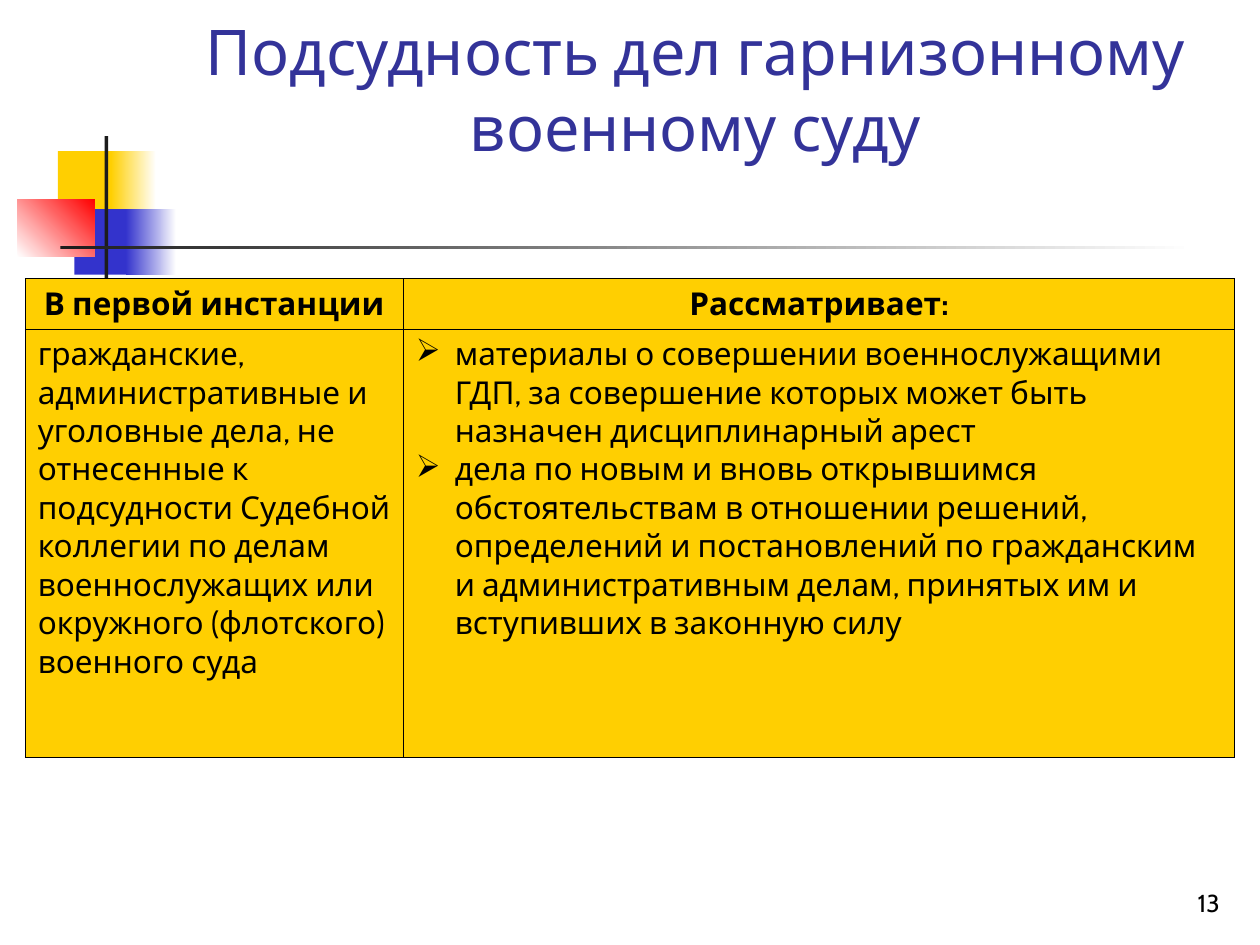
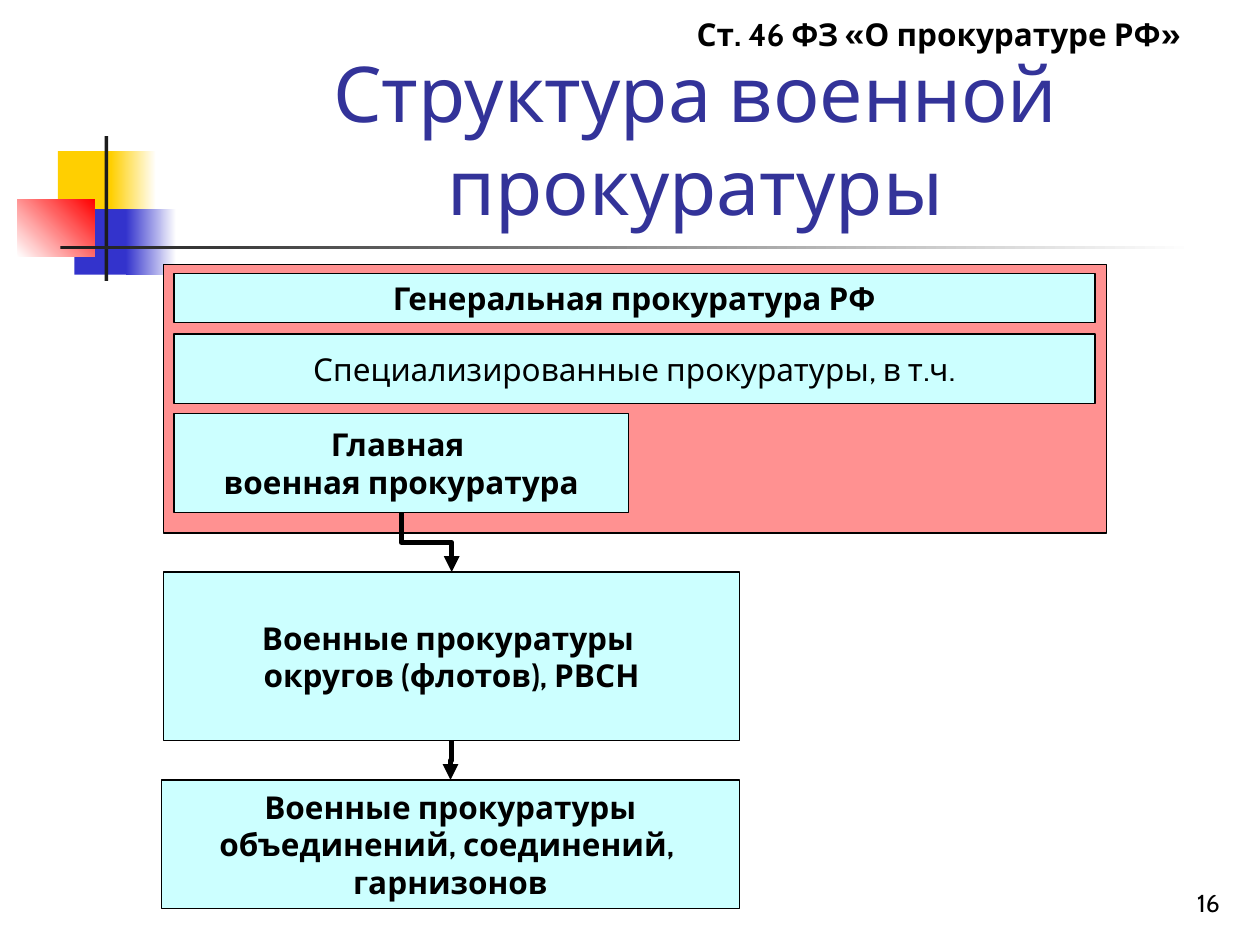
from lxml.etree import SubElement
from pptx import Presentation
from pptx.dml.color import RGBColor
from pptx.enum.shapes import MSO_CONNECTOR, MSO_SHAPE
from pptx.enum.text import MSO_ANCHOR, PP_ALIGN
from pptx.oxml import parse_xml
from pptx.oxml.ns import nsdecls, qn
from pptx.util import Inches, Pt

GOLD, BLUE, RED, DARK = "FFCF01", "3333CC", "FF0000", "1C1C1C"
WHITE, BLACK, INK = "FFFFFF", "000000", "333399"
PINK, AQUA = "FF9191", "CCFFFF"
LEFT, MID, RIGHT = PP_ALIGN.LEFT, PP_ALIGN.CENTER, PP_ALIGN.RIGHT

# Left, top, width, height, colours from start to end, angle
DECOR = [
    (0.46, 1.2, 0.48, 0.52, [GOLD], 0),
    (0.88, 1.2, 0.36, 0.52, [GOLD, WHITE], 0),
    (0.59, 1.66, 0.46, 0.52, [BLUE], 0),
    (1, 1.66, 0.4, 0.52, [BLUE, WHITE], 0),
    (0.14, 1.58, 0.61, 0.46, [WHITE, RED], 45),
    (0.83, 1.08, 0.03, 1.15, [DARK], 0),
    (0.48, 1.95, 9, 0.03, [DARK, WHITE], 0),
]
# Title, its size and height, slide number
HEADS = [
    ("Подсудность дел гарнизонному военному суду", 36, 1.07, "13"),
    ("Структура военной прокуратуры", 44, 1.6, "16"),
]


def tint(code):
    return RGBColor.from_string(code)


def write(frame, lines, align=LEFT, color=BLACK, mark=None, **style):
    look = {"name": "Cabin", "size": Pt(18), "bold": False} | style
    for num, line in enumerate(lines):
        para = frame.add_paragraph() if num else frame.paragraphs[0]
        para.alignment = align
        if mark:
            props = para._p.get_or_add_pPr()
            props.set("marL", str(Inches(0.31)))
            props.set("indent", str(-Inches(0.31)))
            SubElement(props, qn("a:buChar")).set("char", mark)
        run = para.add_run()
        run.text = line
        run.font.color.rgb = tint(color)
        for key, value in look.items():
            setattr(run.font, key, value)


deck = Presentation()
deck.slide_width, deck.slide_height = Inches(10), Inches(7.5)

# Shared design, title and number
slides = []
for title, size, high, page in HEADS:
    slide = deck.slides.add_slide(deck.slide_layouts[6])
    slides.append(slide)
    for *spot, tones, angle in DECOR:
        part = slide.shapes.add_shape(MSO_SHAPE.RECTANGLE, *map(Inches, spot))
        part.shadow.inherit = False
        part.line.fill.background()
        if len(tones) == 1:
            part.fill.solid()
            part.fill.fore_color.rgb = tint(tones[0])
        else:
            part.fill.gradient()
            part.fill.gradient_angle = angle
            for stop, tone in zip(part.fill.gradient_stops, tones):
                stop.color.rgb = tint(tone)

    foot = slide.shapes.add_textbox(*map(Inches, (7.7, 6.83, 2.08, 0.5))).text_frame
    head = slide.shapes.add_textbox(*map(Inches, (1.26, 0.23, 8.52, high))).text_frame
    for frame in (foot, head):
        frame.word_wrap = True
        frame.vertical_anchor = MSO_ANCHOR.BOTTOM
    for side in ("left", "top", "right", "bottom"):
        setattr(head, f"margin_{side}", 0)
    write(foot, [page], RIGHT, size=Pt(14))
    write(head, [title], MID, INK, size=Pt(size))

court, office = slides

# Table of court cases
ROWS = [
    [["В первой инстанции"], ["Рассматривает:"]],
    [
        ["гражданские, административные и уголовные дела, не отнесенные к "
         "подсудности Судебной коллегии по делам военнослужащих или "
         "окружного (флотского) военного суда"],
        ["материалы о совершении военнослужащими ГДП, за совершение которых "
         "может быть назначен дисциплинарный арест",
         "дела по новым и вновь открывшимся обстоятельствам в отношении "
         "решений, определений и постановлений по гражданским и "
         "административным делам, принятых им и вступивших в законную силу"],
    ],
]
grid = court.shapes.add_table(2, 2, *map(Inches, (0.2, 2.21, 9.6, 3.8))).table
grid.first_row = grid.horz_banding = False
for col, wide in zip(grid.columns, (3, 6.6)):
    col.width = Inches(wide)
for row, high in zip(grid.rows, (0.4, 3.4)):
    row.height = Inches(high)
for r, row in enumerate(ROWS):
    for c, lines in enumerate(row):
        cell = grid.cell(r, c)
        for edge in ("lnL", "lnR", "lnT", "lnB"):
            cell._tc.get_or_add_tcPr().append(parse_xml(
                f'<a:{edge} {nsdecls("a")} w="{Pt(0.45)}"><a:solidFill>'
                f'<a:srgbClr val="{BLACK}"/></a:solidFill></a:{edge}>'))
        cell.fill.solid()
        cell.fill.fore_color.rgb = tint(GOLD)
        write(cell.text_frame, lines, LEFT if r else MID,
              mark="➢" if r and c else None, bold=r == 0)

# Boxes of the office chart: place, fill, lines, bold, in the group
BOXES = [
    (1.3, 2.1, 7.48, 2.13, PINK, [], False, True),
    (1.38, 2.17, 7.31, 0.39, AQUA, ["Генеральная прокуратура РФ"], True, True),
    (1.38, 2.65, 7.31, 0.55, AQUA,
     ["Специализированные прокуратуры, в т.ч."], False, True),
    (1.38, 3.28, 3.61, 0.79, AQUA, ["Главная ", "военная прокуратура"], True, True),
    (1.3, 4.54, 4.57, 1.34, AQUA,
     ["Военные прокуратуры ", "округов (флотов), РВСН"], True, False),
    (1.28, 6.19, 4.59, 1.02, AQUA,
     ["Военные прокуратуры", "объединений, соединений, ", "гарнизонов"], True, False),
]
group = office.shapes.add_group_shape()
chain = []
for *spot, tone, lines, bold, inner in BOXES:
    home = group.shapes if inner else office.shapes
    box = home.add_shape(MSO_SHAPE.RECTANGLE, *map(Inches, spot))
    box.shadow.inherit = False
    box.fill.solid()
    box.fill.fore_color.rgb = tint(tone)
    box.line.color.rgb = tint(BLACK)
    box.line.width = Pt(0.75)
    box.text_frame.word_wrap = False
    box.text_frame.vertical_anchor = MSO_ANCHOR.MIDDLE
    write(box.text_frame, lines, MID, bold=bold)
    chain.append(box)

# Bent arrows down the last three boxes
chain = chain[-3:]
for top, low in zip(chain, chain[1:]):
    x1, y1 = top.left + top.width // 2, top.top + top.height
    x2, y2 = low.left + low.width // 2, low.top
    link = office.shapes.add_connector(MSO_CONNECTOR.ELBOW, x1, y1, x2, y2)
    link.begin_connect(top, 2)
    link.end_connect(low, 0)
    # A turned frame makes the arrow leave and arrive vertically
    wide, high = y2 - y1, abs(x2 - x1)
    turn = link._element.spPr.get_or_add_xfrm()
    turn.set("flipH", "1" if x2 > x1 else "0")
    turn.set("rot", "16200000" if x2 > x1 else "5400000")
    link.left, link.top = (x1 + x2 - wide) // 2, (y1 + y2 - high) // 2
    link.width, link.height = wide, high
    link.line.color.rgb = tint(BLACK)
    link.line.width = Pt(3)
    SubElement(link.line._get_or_add_ln(), qn("a:tailEnd")).set("type", "triangle")
    SubElement(link._element.spPr, qn("a:effectLst"))

# Law reference
note = office.shapes.add_textbox(*map(Inches, (5.43, 0.07, 4.1, 0.4))).text_frame
note.word_wrap = False
write(note, ["Ст. 46 ФЗ «О прокуратуре РФ»"], bold=True)

deck.save("out.pptx")
